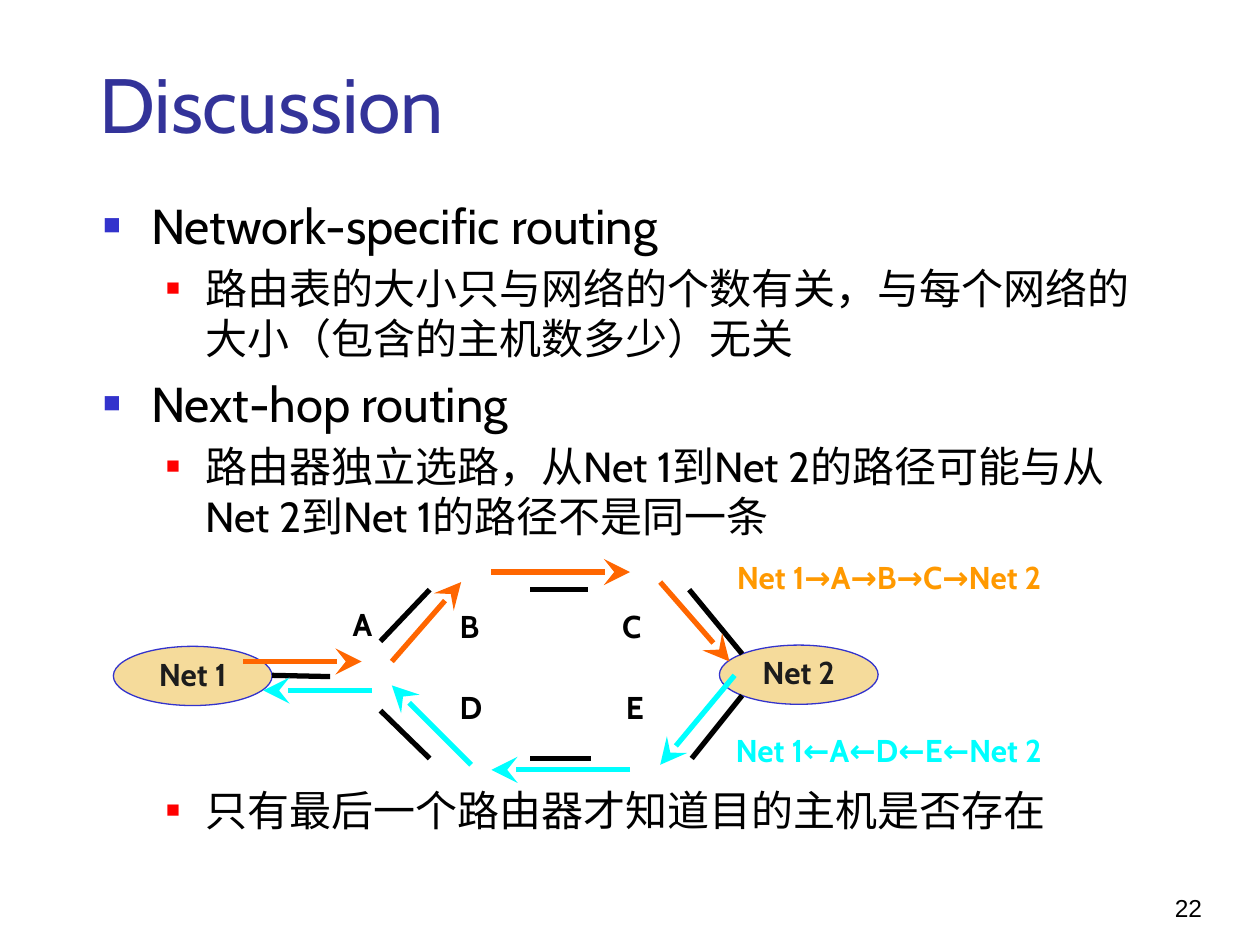
import dataclasses

import lxml.etree
import pptx
import pptx.dml.color
import pptx.enum.shapes
import pptx.enum.text
import pptx.oxml.ns
import pptx.util

Inches = pptx.util.Inches
Pt = pptx.util.Pt
Align = pptx.enum.text.PP_ALIGN
Anchor = pptx.enum.text.MSO_ANCHOR
qn = pptx.oxml.ns.qn

COLORS = {
    "black": "000000", "title": "333399", "blue": "3333CC", "red": "FF0000",
    "sand": "F5DB9B", "ink": "1C1C1C", "amber": "FF9900",
    "orange": "FF6600", "cyan": "00FFFF",
}


@dataclasses.dataclass
class Level:
    left: float
    hang: float
    size: int
    color: str
    scale: int


@dataclasses.dataclass
class Point:
    text: str
    level: int
    before: float


@dataclasses.dataclass
class Label:
    text: str
    left: float
    top: float
    width: float = 0.4
    color: str = "black"


@dataclasses.dataclass
class Route:
    color: str
    arrow: bool
    hops: list[tuple[float, float, float, float]]


LEVELS = [
    Level(0.38, 0.38, 28, "blue", 60),
    Level(0.81, 0.31, 24, "red", 55),
]
POINTS = [
    Point("Network-specific routing", 0, 0),
    Point("路由表的大小只与网络的个数有关，与每个网络的大小（包含的主机数多少）无关", 1, 4.8),
    Point("Next-hop routing", 0, 5.6),
    Point("路由器独立选路，从Net 1到Net 2的路径可能与从Net 2到Net 1的路径不是同一条", 1, 4.8),
    # The wide gap leaves room for the network diagram.
    Point("只有最后一个路由器才知道目的主机是否存在", 1, 139.2),
]
NETS = [("Net 1", 0.9, 5.13), ("Net 2", 5.71, 5.12)]
LABELS = [
    Label("A", 2.7, 4.75),
    Label("B", 3.55, 4.77),
    Label("C", 4.84, 4.77),
    Label("D", 3.55, 5.41),
    Label("E", 4.87, 5.41),
    Label("Net 1→A→B→C→Net 2", 5.75, 4.38, 3.66, "amber"),
    Label("Net 1←A←D←E←Net 2", 5.74, 5.75, 3.66, "cyan"),
]
LINKS = Route("black", False, [
    (2.16, 5.36, 2.62, 5.37),
    (3.02, 5.09, 3.41, 4.68),
    (4.21, 4.68, 4.67, 4.68),
    (5.47, 4.68, 5.89, 5.19),
    (3.02, 5.64, 3.41, 6.02),
    (4.21, 6.02, 4.69, 6.02),
    (5.49, 6.02, 5.89, 5.52),
])
BACK = Route("cyan", True, [
    (5.83, 5.36, 5.24, 6.07),
    (5, 6.11, 3.9, 6.11),
    (3.74, 6.07, 3.11, 5.44),
    (2.95, 5.48, 2.09, 5.48),
])
FORTH = Route("orange", True, [
    (1.93, 5.25, 2.87, 5.25),
    (3.11, 5.25, 3.66, 4.62),
    (3.9, 4.54, 5, 4.54),
    (5.24, 4.62, 5.79, 5.25),
])


def shade(name: str) -> pptx.dml.color.RGBColor:
    return pptx.dml.color.RGBColor.from_string(COLORS[name])


def style(para, size: int, color: str, bold: bool = False, face: str = "Cabin") -> None:
    para.font.name = face
    para.font.size = Pt(size)
    para.font.bold = bold
    para.font.color.rgb = shade(color)


def add_box(slide, left: float, top: float, width: float, height: float, wrap: bool = True):
    box = slide.shapes.add_textbox(Inches(left), Inches(top), Inches(width), Inches(height))
    box.text_frame.word_wrap = wrap
    return box.text_frame


def set_bullet(para, level: Level) -> None:
    props = para._p.get_or_add_pPr()
    props.set("marL", str(Inches(level.left)))
    props.set("indent", str(-Inches(level.hang)))
    tint = lxml.etree.SubElement(props, qn("a:buClr"))
    lxml.etree.SubElement(tint, qn("a:srgbClr"), val=COLORS[level.color])
    lxml.etree.SubElement(props, qn("a:buSzPct"), val=str(level.scale * 1000))
    lxml.etree.SubElement(props, qn("a:buFont"), typeface="Arial")
    lxml.etree.SubElement(props, qn("a:buChar"), char="■")


def add_points(slide) -> None:
    frame = add_box(slide, 0.72, 1.5, 8.62, 4.76)
    for index, point in enumerate(POINTS):
        para = frame.add_paragraph() if index else frame.paragraphs[0]
        level = LEVELS[point.level]
        para.text = point.text
        para.level = point.level
        set_bullet(para, level)
        if index:
            para.space_before = Pt(point.before)
        style(para, level.size, "black")


def add_net(slide, name: str, left: float, top: float) -> None:
    oval = slide.shapes.add_shape(
        pptx.enum.shapes.MSO_SHAPE.OVAL,
        Inches(left), Inches(top), Inches(1.26), Inches(0.47))
    oval.shadow.inherit = False
    oval.fill.solid()
    oval.fill.fore_color.rgb = shade("sand")
    oval.line.color.rgb = shade("blue")
    oval.line.width = Pt(0.75)
    frame = oval.text_frame
    frame.word_wrap = False
    frame.vertical_anchor = Anchor.MIDDLE
    para = frame.paragraphs[0]
    para.text = name
    para.alignment = Align.CENTER
    para.line_spacing = 0.9
    style(para, 18, "ink", bold=True)


def add_label(slide, label: Label) -> None:
    frame = add_box(slide, label.left, label.top, label.width, 0.5, wrap=False)
    para = frame.paragraphs[0]
    para.text = label.text
    style(para, 18, label.color, bold=True)


def add_route(slide, route: Route) -> None:
    for hop in route.hops:
        line = slide.shapes.add_connector(
            pptx.enum.shapes.MSO_CONNECTOR.STRAIGHT, *map(Inches, hop))
        line.line.color.rgb = shade(route.color)
        line.line.width = Pt(3)
        if route.arrow:
            lxml.etree.SubElement(line.line._get_or_add_ln(), qn("a:tailEnd"),
                                  type="stealth", w="lg", len="lg")
        lxml.etree.SubElement(line._element.spPr, qn("a:effectLst"))


def main() -> None:
    deck = pptx.Presentation()
    deck.slide_width = Inches(10)
    deck.slide_height = Inches(7.5)
    slide = deck.slides.add_slide(deck.slide_layouts[6])

    number = add_box(slide, 7.31, 6.9, 2.33, 0.47)
    number.vertical_anchor = Anchor.BOTTOM
    number.text = "22"
    number.paragraphs[0].alignment = Align.RIGHT
    style(number.paragraphs[0], 14, "black", face="Arial")

    title = add_box(slide, 0.69, 0.4, 8.62, 1.45)
    title.text = "Discussion"
    style(title.paragraphs[0], 44, "title")

    add_points(slide)
    for net in NETS:
        add_net(slide, *net)
    add_route(slide, LINKS)
    for label in LABELS:
        add_label(slide, label)
    add_route(slide, BACK)
    add_route(slide, FORTH)
    deck.save("out.pptx")


if __name__ == "__main__":
    main()
